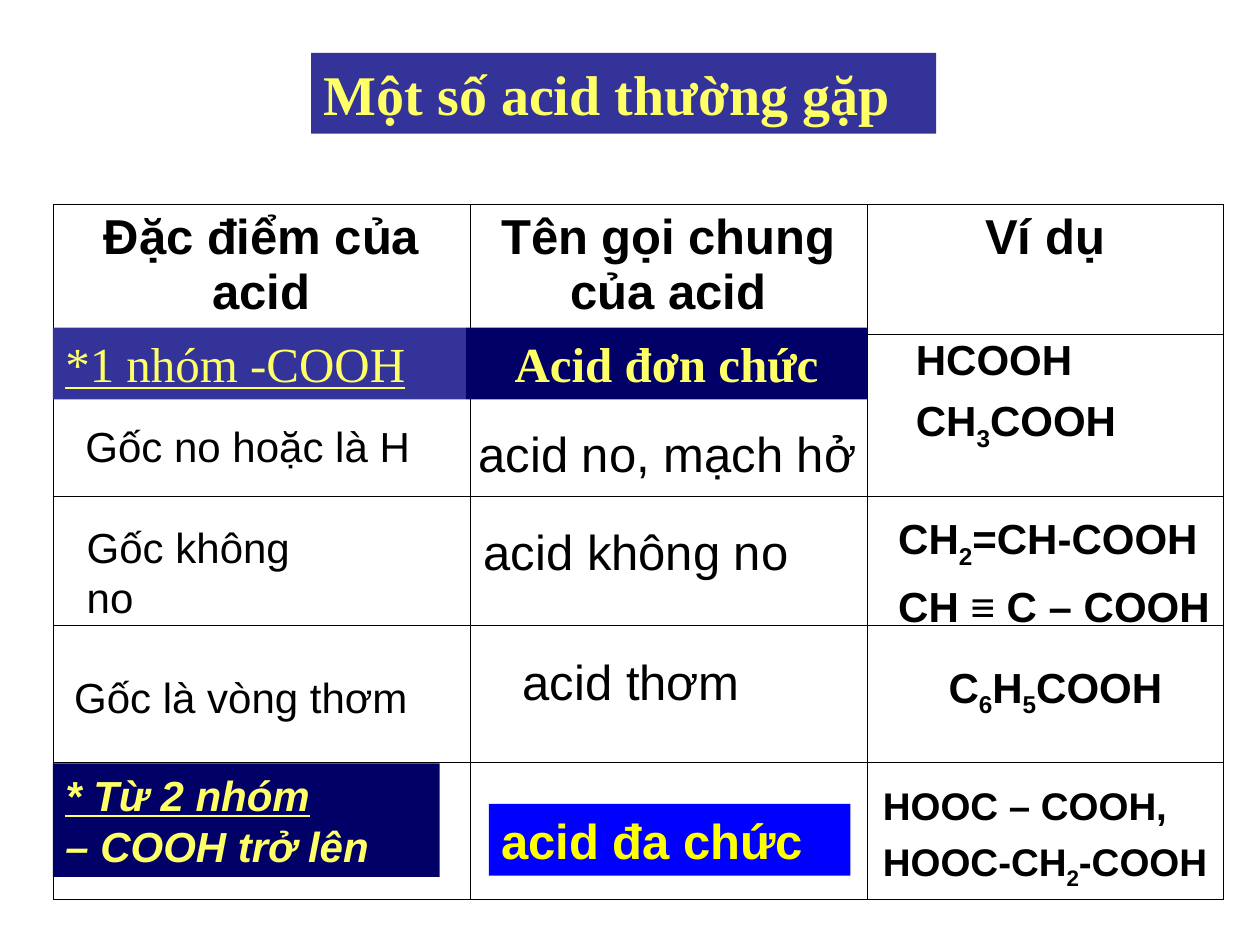
from pptx import Presentation, util as u
from pptx.dml import color
from pptx.enum import shapes, text
from pptx.oxml import parse_xml
from pptx.oxml.ns import nsdecls

COLUMNS = [3.31, 3.15, 2.83]
ROWS = [1.03, 1.29, 1.02, 1.09, 1.09]
HEADERS = ["Đặc điểm của acid", "Tên gọi chung của acid", "Ví dụ"]
BODY = {"name": "Arial", "size": u.Pt(24)}
TERM = {"name": "Arial", "size": u.Pt(28)}
FORMULA = {**BODY, "bold": True}
SERIF = {"name": "Times New Roman", "size": u.Pt(28)}
YELLOW = "FFFF66"
NAVY = "000066"
INDIGO = "333399"

# Formulas mark subscripts by enclosing them in bars.
LABELS = [
    ((0.58, 3.29, 3.07, 0.5), ["Gốc no hoặc là H"], BODY),
    ((0.59, 4.09, 2.27, 0.5), ["Gốc không no"], BODY),
    ((0.49, 5.28, 3.13, 0.5), ["Gốc là vòng thơm"], BODY),
    ((3.7, 3.31, 3.39, 0.57), ["acid no, mạch hở"], TERM),
    ((3.74, 4.09, 2.62, 0.57), ["acid không no"], TERM),
    ((4.05, 5.12, 1.92, 0.57), ["acid thơm"], TERM),
    ((7.17, 2.6, 2.25, 1.04), ["HCOOH", "CH|3|COOH"], FORMULA),
    ((7.03, 4.02, 3.49, 1.04), ["CH|2|=CH-COOH", "CH ≡ C – COOH"], FORMULA),
    ((7.43, 5.2, 1.94, 0.96), ["C|6|H|5|COOH"], FORMULA),
    ((6.91, 6.16, 2.84, 0.96), ["HOOC – COOH,", "HOOC-CH|2|-COOH"],
     {**FORMULA, "size": u.Pt(22)}),
]


def rgb(value):
    """Turn a hex string into a colour."""
    return color.RGBColor.from_string(value)


def style_font(font, formats, ink):
    """Apply a dict of font values and a colour."""
    for name, value in formats.items():
        setattr(font, name, value)
    font.color.rgb = rgb(ink)


def write_lines(frame, lines, formats, ink="000000", align=text.PP_ALIGN.LEFT, gap=0):
    """Write one paragraph per line, lowering the parts between bars."""
    settings = {"word_wrap": True, "auto_size": text.MSO_AUTO_SIZE.NONE,
                "vertical_anchor": text.MSO_ANCHOR.TOP}
    for name, value in settings.items():
        setattr(frame, name, value)
    for row, line in enumerate(lines):
        paragraph = frame.add_paragraph() if row else frame.paragraphs[0]
        paragraph.alignment = align
        paragraph.space_before = u.Pt(gap if row else 0)
        for index, part in enumerate(line.split("|")):
            run = paragraph.add_run()
            run.text = part
            style_font(run.font, formats, ink)
            if index % 2:
                run.font._element.set("baseline", "-25000")


def fill_shape(shape, fill):
    """Give a shape a plain fill."""
    shape.fill.solid()
    shape.fill.fore_color.rgb = rgb(fill)


def add_title(slide):
    """Place the title on its coloured bar."""
    title = slide.shapes.title
    title.left, title.top, title.width, title.height = map(u.Inches, (2.47, 0.42, 4.96, 0.64))
    fill_shape(title, INDIGO)
    formats = {**SERIF, "size": u.Pt(32), "bold": True}
    write_lines(title.text_frame, ["Một số acid thường gặp"], formats, YELLOW)


def add_label(slide, box, lines, formats):
    """Add a text box."""
    label = slide.shapes.add_textbox(*map(u.Inches, box))
    write_lines(label.text_frame, lines, formats, gap=formats["size"].pt / 4)


def add_banner(slide, box, lines, formats, fill, ink=YELLOW, align=text.PP_ALIGN.LEFT):
    """Add a filled rectangle with text."""
    banner = slide.shapes.add_shape(shapes.MSO_SHAPE.RECTANGLE, *map(u.Inches, box))
    banner.shadow.inherit = False
    banner.line.fill.background()
    fill_shape(banner, fill)
    write_lines(banner.text_frame, lines, formats, ink, align)
    return banner


def border_cell(cell):
    """Draw thin black borders on a cell without fill."""
    properties = cell._tc.get_or_add_tcPr()
    for side in ("lnL", "lnR", "lnT", "lnB"):
        properties.append(parse_xml(
            f'<a:{side} {nsdecls("a")} w="5715"><a:solidFill>'
            f'<a:srgbClr val="000000"/></a:solidFill></a:{side}>'))
    cell.fill.background()


def add_grid(slide):
    """Add the table with its header row."""
    box = map(u.Inches, (0.42, 1.62, sum(COLUMNS), sum(ROWS)))
    table = slide.shapes.add_table(len(ROWS), len(COLUMNS), *box).table
    table.first_row = table.horz_banding = False
    for column, width in zip(table.columns, COLUMNS):
        column.width = u.Inches(width)
    for row, height in zip(table.rows, ROWS):
        row.height = u.Inches(height)
    for cell in table.iter_cells():
        border_cell(cell)
    for cell, header in zip(table.rows[0].cells, HEADERS):
        paragraph = cell.text_frame.paragraphs[0]
        paragraph.alignment = text.PP_ALIGN.CENTER
        run = paragraph.add_run()
        run.text = header
        style_font(run.font, {**TERM, "bold": True}, "000000")


def main():
    """Build the slide and save it."""
    presentation = Presentation()
    presentation.slide_width, presentation.slide_height = u.Inches(10), u.Inches(7.5)
    slide = presentation.slides.add_slide(presentation.slide_layouts[5])
    add_title(slide)
    add_grid(slide)
    for box, lines, formats in LABELS:
        add_label(slide, box, lines, formats)
    add_banner(slide, (0.42, 2.6, 3.28, 0.57), ["*1 nhóm -COOH"],
               {**SERIF, "underline": True}, INDIGO)
    add_banner(slide, (3.7, 2.6, 3.18, 0.57), ["Acid đơn chức"],
               {**SERIF, "bold": True}, NAVY, align=text.PP_ALIGN.CENTER)
    several = add_banner(slide, (0.42, 6.06, 3.07, 0.9), ["* Từ 2 nhóm", "– COOH trở lên"],
                         {**FORMULA, "italic": True}, NAVY)
    several.text_frame.paragraphs[0].runs[0].font.underline = True
    add_banner(slide, (3.88, 6.38, 2.87, 0.57), ["acid đa chức"],
               {**TERM, "bold": True}, "0000FF", "FFFF00")
    presentation.save("out.pptx")


if __name__ == "__main__":
    main()
